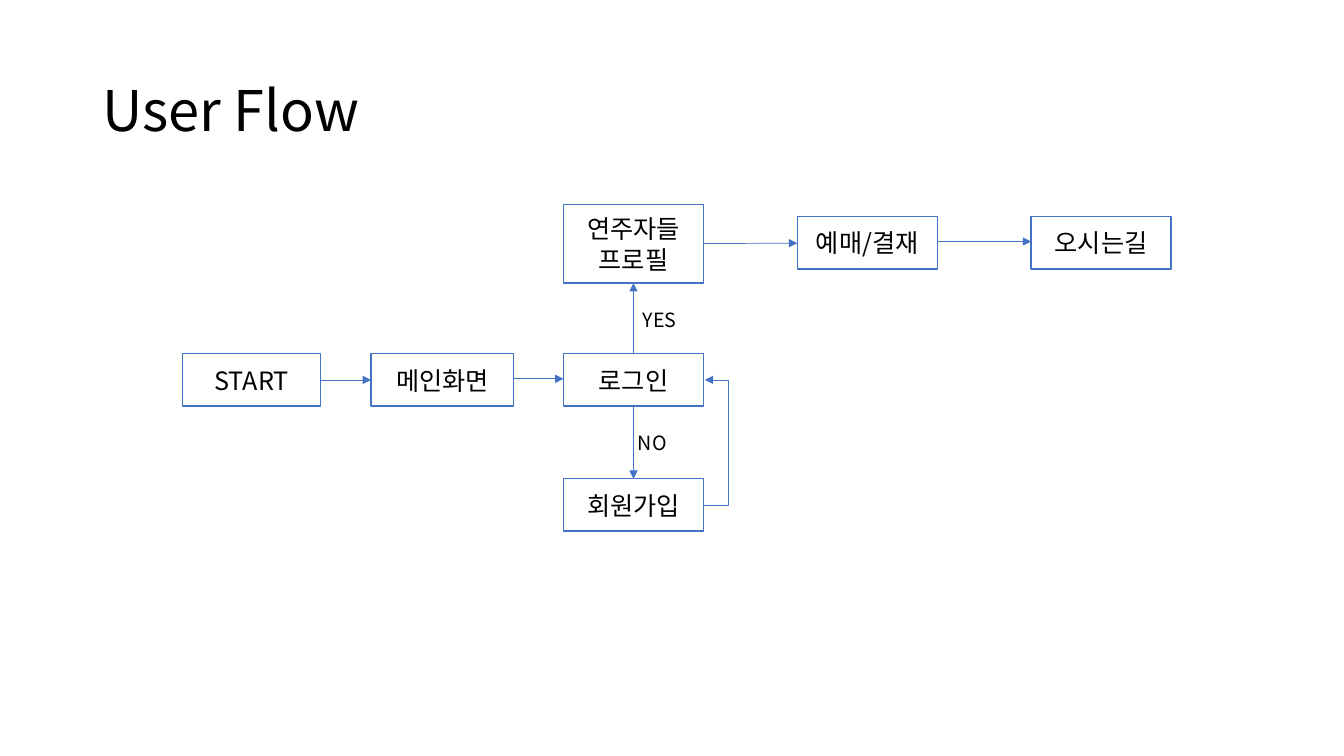
from collections import namedtuple
from lxml.etree import SubElement
from pptx import Presentation
from pptx.dml.color import RGBColor
from pptx.enum.shapes import MSO_CONNECTOR, MSO_SHAPE
from pptx.enum.text import MSO_ANCHOR, PP_ALIGN
from pptx.oxml.ns import qn
from pptx.util import Pt

Theme = namedtuple("Theme", "font ink paper blue title step label edge wire")
theme = Theme(
    font="Noto Sans CJK KR",
    ink=RGBColor(0, 0, 0),
    paper=RGBColor(255, 255, 255),
    blue=RGBColor(0x44, 0x72, 0xC4),
    title=40, step=18, label=14,
    edge=1, wire=0.5,
)


def write(shape, text, size=theme.step, align=PP_ALIGN.LEFT,
          anchor=MSO_ANCHOR.TOP, space=1.0):
    """Put formatted text into a shape."""
    frame = shape.text_frame
    frame.word_wrap = True
    frame.vertical_anchor = anchor
    para = frame.paragraphs[0]
    para.alignment = align
    para.line_spacing = space
    run = para.add_run()
    run.text = text
    run.font.size = Pt(size)
    run.font.color.rgb = theme.ink
    run.font.name = theme.font
    SubElement(run.font._element, qn("a:ea"), typeface=theme.font)


def link(kind, x1, y1, x2, y2):
    """Draw a thin blue arrow and return it."""
    arrow = slide.shapes.add_connector(kind, Pt(x1), Pt(y1), Pt(x2), Pt(y2))
    arrow.line.color.rgb = theme.blue
    arrow.line.width = Pt(theme.wire)
    SubElement(arrow.line._get_or_add_ln(), qn("a:tailEnd"), type="triangle")
    SubElement(arrow._element.spPr, qn("a:effectLst"))
    return arrow


deck = Presentation()
deck.slide_width, deck.slide_height = Pt(960), Pt(540)
slide = deck.slides.add_slide(deck.slide_layouts[6])

# Steps: the login column and the two columns after it share one pitch
wide, high, pitch = 100, 37.4, 167
login, top, main, join = 402.5, 154.8, 252.7, 342
steps = [
    ("START", 130.5, main, 98.5, high),
    ("메인화면", 265, main, 102, high),
    ("로그인", login, main, wide, high),
    ("회원가입", login, join, wide, high),
    ("연주자들 프로필", login, 146.2, wide, 56),
    ("예매/결재", login + pitch, top, wide, high),
    ("오시는길", login + 2 * pitch, top, wide, high),
]
for text, *area in steps:
    box = slide.shapes.add_shape(MSO_SHAPE.RECTANGLE, *map(Pt, area))
    box.shadow.inherit = False
    box.fill.solid()
    box.fill.fore_color.rgb = theme.paper
    box.line.color.rgb = theme.blue
    box.line.width = Pt(theme.edge)
    write(box, text, align=PP_ALIGN.CENTER, anchor=MSO_ANCHOR.MIDDLE)

# Arrows
mid, right = login + wide / 2, login + wide
level = main + high / 2
arrows = [
    (mid, main, mid, 202.2),
    (229, level, 265, level),
    (367, level - 0.8, login, level - 0.8),
    (mid, main + high, mid, join),
    (right, 174, login + pitch, 173.7),
    (right + pitch, 172.5, login + 2 * pitch, 172.5),
]
for ends in arrows:
    link(MSO_CONNECTOR.STRAIGHT, *ends)

# Return from sign-up to login, bulging 18 pt to the right
back = link(MSO_CONNECTOR.ELBOW, right, join + high / 2, right + 1, level)
bends = back._element.spPr.find(qn("a:prstGeom")).get_or_add_avLst()
SubElement(bends, qn("a:gd"), name="adj1", fmla="val 1800000")

# Title and branch labels
notes = [
    ("NO", (448.5, 304, 54, 24.5), dict(size=theme.label)),
    ("YES", (452, 216.7, 54, 24.5), dict(size=theme.label)),
    ("User Flow", (66, 28.8, 828, 104.4),
     dict(size=theme.title, anchor=MSO_ANCHOR.MIDDLE, space=0.9)),
]
for text, area, look in notes:
    write(slide.shapes.add_textbox(*map(Pt, area)), text, **look)

deck.save("out.pptx")
